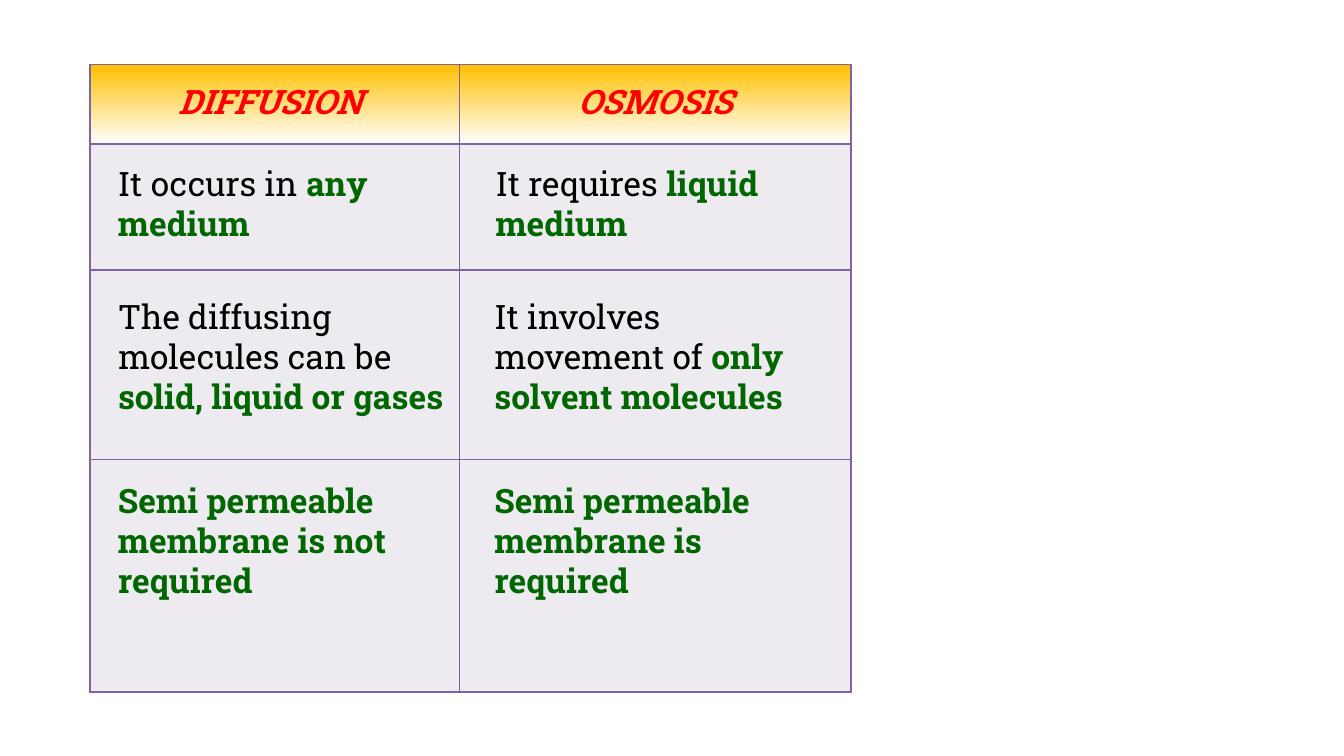
import pptx
import pptx.dml.color
import pptx.enum.text
import pptx.oxml
import pptx.oxml.ns
import pptx.util

Inches = pptx.util.Inches
Pt = pptx.util.Pt
RGB = pptx.dml.color.RGBColor.from_string
Align = pptx.enum.text.PP_ALIGN

theme = {
    "font": "Roboto Slab",
    "size": Pt(18),
    "heading": "FF0000",
    "body": "000000",
    "emphasis": "006600",
    "border": "8064A2",
    "cell": "EDEAF0",
    "header_stops": ["FFC000", "FFFFFF"],
}
base_format = {"name": theme["font"], "size": theme["size"]}
styles = {
    "heading": {**base_format, "bold": True, "italic": True},
    "body": {**base_format, "bold": False},
    "emphasis": {**base_format, "bold": True},
}


def add_border(cell):
    properties = cell._tc.get_or_add_tcPr()
    for position, side in enumerate(["lnL", "lnR", "lnT", "lnB"]):
        line = pptx.oxml.parse_xml(
            f'<a:{side} {pptx.oxml.ns.nsdecls("a")} w="{Pt(1)}"><a:solidFill>'
            f'<a:srgbClr val="{theme["border"]}"/></a:solidFill></a:{side}>'
        )
        properties.insert(position, line)


def add_text(page, bounds, spans, align, wrap):
    box = page.shapes.add_textbox(*map(Inches, bounds))
    frame = box.text_frame
    frame.word_wrap = wrap
    frame.auto_size = pptx.enum.text.MSO_AUTO_SIZE.SHAPE_TO_FIT_TEXT
    para = frame.paragraphs[0]
    para.alignment = align
    for style, text in spans:
        span = para.add_run()
        span.text = text
        for key, value in styles[style].items():
            setattr(span.font, key, value)
        span.font.color.rgb = RGB(theme[style])


deck = pptx.Presentation()
deck.slide_width = Inches(10)
deck.slide_height = deck.slide_width * 9 // 16
page = deck.slides.add_slide(deck.slide_layouts[6])

column_widths = [2.75, 2.91]
row_heights = [0.59, 0.94, 1.41, 1.73]
table = page.shapes.add_table(
    len(row_heights), len(column_widths), Inches(0.67), Inches(0.48),
    Inches(sum(column_widths)), Inches(sum(row_heights)),
).table
for column, width in zip(table.columns, column_widths):
    column.width = Inches(width)
for row, height in zip(table.rows, row_heights):
    row.height = Inches(height)

for row_index, row in enumerate(table.rows):
    for cell in row.cells:
        if row_index == 0:
            cell.fill.gradient()
            cell.fill.gradient_angle = 270
            for position, stop in enumerate(cell.fill.gradient_stops):
                stop.position = position
                stop.color.rgb = RGB(theme["header_stops"][position])
        else:
            cell.fill.solid()
            cell.fill.fore_color.rgb = RGB(theme["cell"])
        add_border(cell)

headings = [("DIFFUSION", 1.18, 1.66), ("OSMOSIS", 4.16, 1.43)]
for text, left, width in headings:
    add_text(page, (left, 0.55, width, 0.4), [("heading", text)], Align.CENTER, False)

comparisons = [
    (1.16, [
        (0.78, 2.5, 0.71, [("body", "It occurs in "), ("emphasis", "any medium")]),
        (3.59, 2.66, 0.71, [("body", "It requires "), ("emphasis", "liquid medium")]),
    ]),
    (2.15, [
        (0.78, 2.85, 1.31, [("body", "The diffusing molecules can be "),
                            ("emphasis", "solid, liquid or gases")]),
        (3.58, 2.68, 1.01, [("body", "It involves movement of "),
                            ("emphasis", "only solvent molecules")]),
    ]),
    (3.52, [
        (0.78, 2.5, 1.01, [("emphasis", "Semi permeable membrane is not required")]),
        (3.58, 2.68, 1.01, [("emphasis", "Semi permeable membrane is required")]),
    ]),
]
for top, statements in comparisons:
    for left, width, height, spans in statements:
        add_text(page, (left, top, width, height), spans, Align.LEFT, True)

deck.save("out.pptx")
